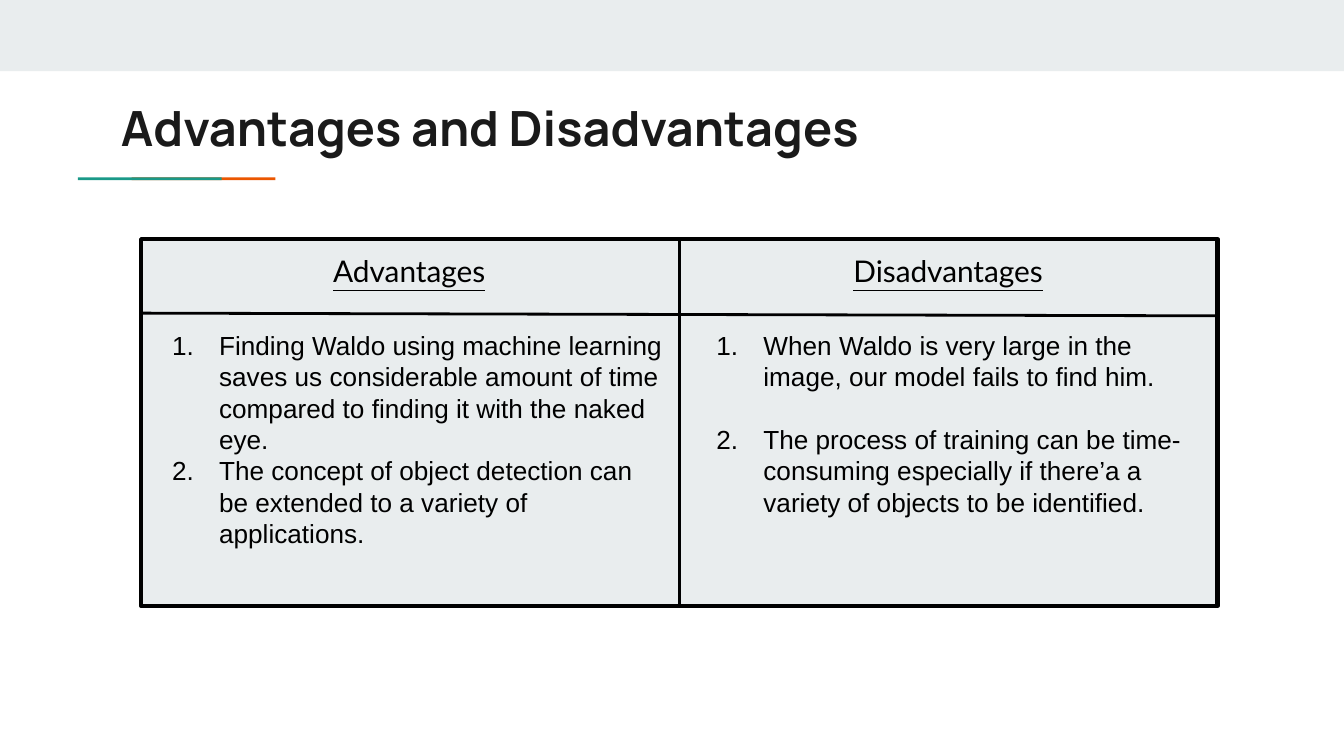
from lxml.etree import SubElement
from pptx import Presentation
from pptx.dml.color import RGBColor
from pptx.enum.shapes import MSO_CONNECTOR, MSO_SHAPE
from pptx.enum.text import MSO_ANCHOR, MSO_AUTO_SIZE, PP_ALIGN
from pptx.oxml.ns import qn
from pptx.util import Inches, Pt

COLORS = {
    "pale": "E9EDEE",
    "teal": "1A9988",
    "orange": "EB5600",
    "ink": "1A1A1A",
    "black": "000000",
}
TWO_CONTENT = 3

PROS = [
    "Finding Waldo using machine learning saves us considerable amount of time "
    "compared to finding it with the naked eye.",
    "The concept of object detection can be extended to a variety of applications.",
]
CONS = [
    "When Waldo is very large in the image, our model fails to find him.",
    "The process of training can be time-consuming especially if there’a a "
    "variety of objects to be identified.",
]


def color(name):
    return RGBColor.from_string(COLORS[name])


def number(para):
    """Give the paragraph a hanging automatic number."""
    props = para._p.get_or_add_pPr()
    props.set("marL", str(Inches(0.5)))
    props.set("indent", str(Inches(-0.35)))
    tint = SubElement(props, qn("a:buClr"))
    SubElement(tint, qn("a:srgbClr"), val=COLORS["black"])
    SubElement(props, qn("a:buFont"), typeface="Arial")
    SubElement(props, qn("a:buAutoNum"), type="arabicPeriod")


def write(para, text, font="Arial", size=14, ink="black", bold=False,
          under=False, align=PP_ALIGN.LEFT, before=0):
    para.alignment = align
    para.space_before = Pt(before)
    para.line_spacing = 1.0
    run = para.add_run()
    run.text = text
    run.font.name = font
    run.font.size = Pt(size)
    run.font.bold = bold
    run.font.underline = under
    run.font.color.rgb = color(ink)


class Board:
    """Holds the style and the current slide."""

    def __init__(self, slide):
        self.slide = slide
        self.shapes = slide.shapes
        self.inset = Inches(0.1)

    def rect(self, x, y, w, h, fill, line=None):
        box = self.shapes.add_shape(
            MSO_SHAPE.RECTANGLE, Inches(x), Inches(y), Inches(w), Inches(h))
        box.shadow.inherit = False
        box.fill.solid()
        box.fill.fore_color.rgb = color(fill)
        if line:
            box.line.color.rgb = color("black")
            box.line.width = Pt(line)
        else:
            box.line.fill.background()
        return box

    def rule(self, x1, y1, x2, y2):
        line = self.shapes.add_connector(
            MSO_CONNECTOR.STRAIGHT, Inches(x1), Inches(y1), Inches(x2), Inches(y2))
        line.line.color.rgb = color("black")
        line.line.width = Pt(1.5)
        SubElement(line._element.spPr, qn("a:effectLst"))
        return line

    def frame(self, shape):
        """Set the common text frame style."""
        frame = shape.text_frame
        frame.word_wrap = True
        frame.auto_size = MSO_AUTO_SIZE.NONE
        frame.vertical_anchor = MSO_ANCHOR.TOP
        frame.margin_left = frame.margin_right = self.inset
        frame.margin_top = frame.margin_bottom = self.inset
        return frame

    def holder(self, index, x, y, w, h):
        """Move a placeholder into place and to the front."""
        shape = self.slide.placeholders[index]
        shape.left, shape.top = Inches(x), Inches(y)
        shape.width, shape.height = Inches(w), Inches(h)
        self.shapes._spTree.append(shape._element)
        return self.frame(shape)

    def title(self, text, x, y, w, h):
        frame = self.holder(0, x, y, w, h)
        write(frame.paragraphs[0], text, font="Manrope", size=26, ink="ink", bold=True)

    def head(self, text, x, y, w, h):
        box = self.shapes.add_textbox(Inches(x), Inches(y), Inches(w), Inches(h))
        write(self.frame(box).paragraphs[0], text, font="Lato", size=16,
              under=True, align=PP_ALIGN.CENTER)

    def items(self, index, texts, x, y, w, h, gap=0):
        frame = self.holder(index, x, y, w, h)
        for i, text in enumerate(texts):
            para = frame.add_paragraph() if i else frame.paragraphs[0]
            number(para)
            write(para, text, before=gap if i else 0)


def main():
    deck = Presentation()
    deck.slide_width, deck.slide_height = Inches(10), Inches(10 * 9 / 16)
    board = Board(deck.slides.add_slide(deck.slide_layouts[TWO_CONTENT]))

    board.rect(0, 0, 10, 0.53, "pale")
    board.rect(0.98, 1.32, 1.07, 0.02, "orange")
    board.rect(0.58, 1.32, 1.07, 0.02, "teal")
    board.title("Advantages and Disadvantages", 0.8, 0.63, 8.41, 0.59)

    panel = board.rect(1.05, 1.78, 8.01, 2.73, "pale", line=2.25)
    split = board.rule(5.05, 1.78, 5.05, 4.51)
    split.begin_connect(panel, 0)
    split.end_connect(panel, 2)
    board.rule(1.06, 2.33, 9.05, 2.35)

    board.head("Advantages", 1.05, 1.78, 3.99, 0.46)
    board.head("Disadvantages", 5.06, 1.78, 3.99, 0.46)
    board.items(1, PROS, 1.03, 2.35, 4.03, 2.17)
    board.items(2, CONS, 5.08, 2.35, 3.99, 2.17, gap=16.8)

    deck.save("out.pptx")


if __name__ == "__main__":
    main()
